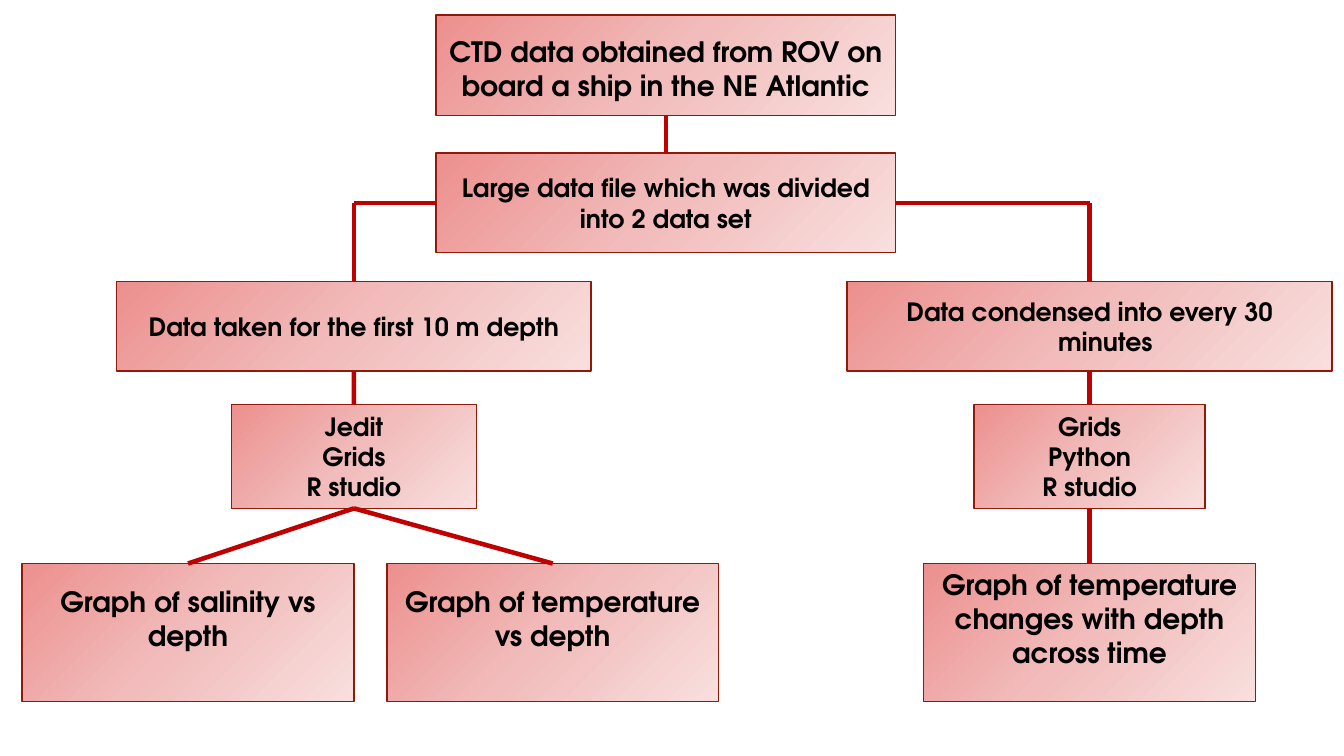
"""Build a flowchart slide of how the CTD data were processed."""
from copy import deepcopy
from dataclasses import dataclass

from lxml import etree
from pptx import Presentation, util as u
from pptx.dml.color import RGBColor
from pptx.enum import shapes, text
from pptx.oxml.ns import qn


@dataclass(frozen=True)
class Theme:
    font: str = "TeX Gyre Adventor"
    ink: str = "000000"
    edge: str = "91190A"
    link: str = "C00000"
    gradient: tuple = ((0, "EC908E"), (0.5, "F1BCBB"), (1, "F8DFDE"))
    large: int = 20
    small: int = 18
    edge_width: float = 1
    link_width: float = 3.25


THEME = Theme()
TOP, LEFT, BOTTOM, RIGHT = range(4)
INSET, HANG = 0.13, 0.79

# row: top, height, type size, extra top inset, extra bottom inset, hanging indent
ROWS = {
    "source": (0.38, 2.54, THEME.large, 0.13, 0, 0),
    "file": (3.86, 2.51, THEME.small, 0, 0, 0),
    "subset": (7.09, 2.26, THEME.small, 0, 0, HANG),
    "tools": (10.19, 2.62, THEME.small, 0, 0, HANG),
    "graph": (14.2, 3.48, THEME.large, 0, 0.72, 0),
}
# box: row, centre, width, lines
BOXES = {
    "source": ("source", 16.78, 11.58, ["CTD data obtained from ROV on board a ship in the NE Atlantic"]),
    "file": ("file", 16.78, 11.58, ["Large data file which was divided into 2 data set"]),
    "shallow": ("subset", 8.92, 11.96, ["Data taken for the first 10 m depth"]),
    "condensed": ("subset", 27.46, 12.22, ["Data condensed into every 30 minutes"]),
    "shallow tools": ("tools", 8.92, 6.17, ["Jedit", "Grids", "R studio"]),
    "condensed tools": ("tools", 27.46, 5.82, ["Grids", "Python", "R studio"]),
    "salinity": ("graph", 4.74, 8.36, ["Graph of salinity vs depth"]),
    "temperature": ("graph", 13.93, 8.36, ["Graph of temperature vs depth"]),
    "time": ("graph", 27.46, 8.36, ["Graph of temperature changes with depth across time"]),
}
DOWN_LINKS = [
    ("source", "file"),
    ("shallow", "shallow tools"),
    ("condensed", "condensed tools"),
    ("shallow tools", "salinity"),
    ("shallow tools", "temperature"),
    ("condensed tools", "time"),
]
SIDE_LINKS = [("file", LEFT, "shallow"), ("file", RIGHT, "condensed")]


def paint(box):
    box.shadow.inherit = False
    box.line.color.rgb = RGBColor.from_string(THEME.edge)
    box.line.width = u.Pt(THEME.edge_width)
    box.fill.gradient()
    box.fill.gradient_angle = 315
    stops = box._element.spPr.find(qn("a:gradFill")).find(qn("a:gsLst"))
    stops.insert(1, deepcopy(stops[0]))
    for stop, (position, color) in zip(box.fill.gradient_stops, THEME.gradient):
        stop.position = position
        stop.color.rgb = RGBColor.from_string(color)


def add_box(page, row, centre, width, lines):
    top, height, size, pad_top, pad_bottom, hang = ROWS[row]
    box = page.shapes.add_shape(
        shapes.MSO_SHAPE.RECTANGLE,
        u.Cm(centre - width / 2), u.Cm(top), u.Cm(width), u.Cm(height))
    paint(box)
    frame = box.text_frame
    frame.word_wrap = True
    frame.vertical_anchor = text.MSO_ANCHOR.MIDDLE
    frame.margin_top = u.Cm(INSET + pad_top)
    frame.margin_bottom = u.Cm(INSET + pad_bottom)
    for index, line in enumerate(lines):
        para = frame.add_paragraph() if index else frame.paragraphs[0]
        para.alignment = text.PP_ALIGN.CENTER
        if hang:
            properties = para._p.get_or_add_pPr()
            properties.set("marL", str(u.Cm(hang)))
            properties.set("indent", str(-u.Cm(hang)))
        span = para.add_run()
        span.text = line
        span.font.name = THEME.font
        span.font.size = u.Pt(size)
        span.font.bold = True
        span.font.color.rgb = RGBColor.from_string(THEME.ink)
    return box


def side_point(box, side):
    middle_x, middle_y = box.left + box.width // 2, box.top + box.height // 2
    return {
        TOP: (middle_x, box.top),
        LEFT: (box.left, middle_y),
        BOTTOM: (middle_x, box.top + box.height),
        RIGHT: (box.left + box.width, middle_y),
    }[side]


def add_link(page, start, end):
    link = page.shapes.add_connector(shapes.MSO_CONNECTOR.STRAIGHT, *start, *end)
    link.line.color.rgb = RGBColor.from_string(THEME.link)
    link.line.width = u.Pt(THEME.link_width)
    etree.SubElement(link._element.spPr, qn("a:effectLst"))
    return link


def main():
    deck = Presentation()
    deck.slide_width, deck.slide_height = u.Cm(33.87), u.Cm(19.05)
    page = deck.slides.add_slide(deck.slide_layouts[6])
    boxes = {name: add_box(page, *content) for name, content in BOXES.items()}

    for upper, lower in DOWN_LINKS:
        link = add_link(page, side_point(boxes[upper], BOTTOM), side_point(boxes[lower], TOP))
        link.begin_connect(boxes[upper], BOTTOM)
        link.end_connect(boxes[lower], TOP)

    for parent, side, child in SIDE_LINKS:
        start, end = side_point(boxes[parent], side), side_point(boxes[child], TOP)
        corner = (end[0], start[1])
        add_link(page, start, corner).begin_connect(boxes[parent], side)
        add_link(page, corner, end).end_connect(boxes[child], TOP)

    deck.save("out.pptx")


if __name__ == "__main__":
    main()
